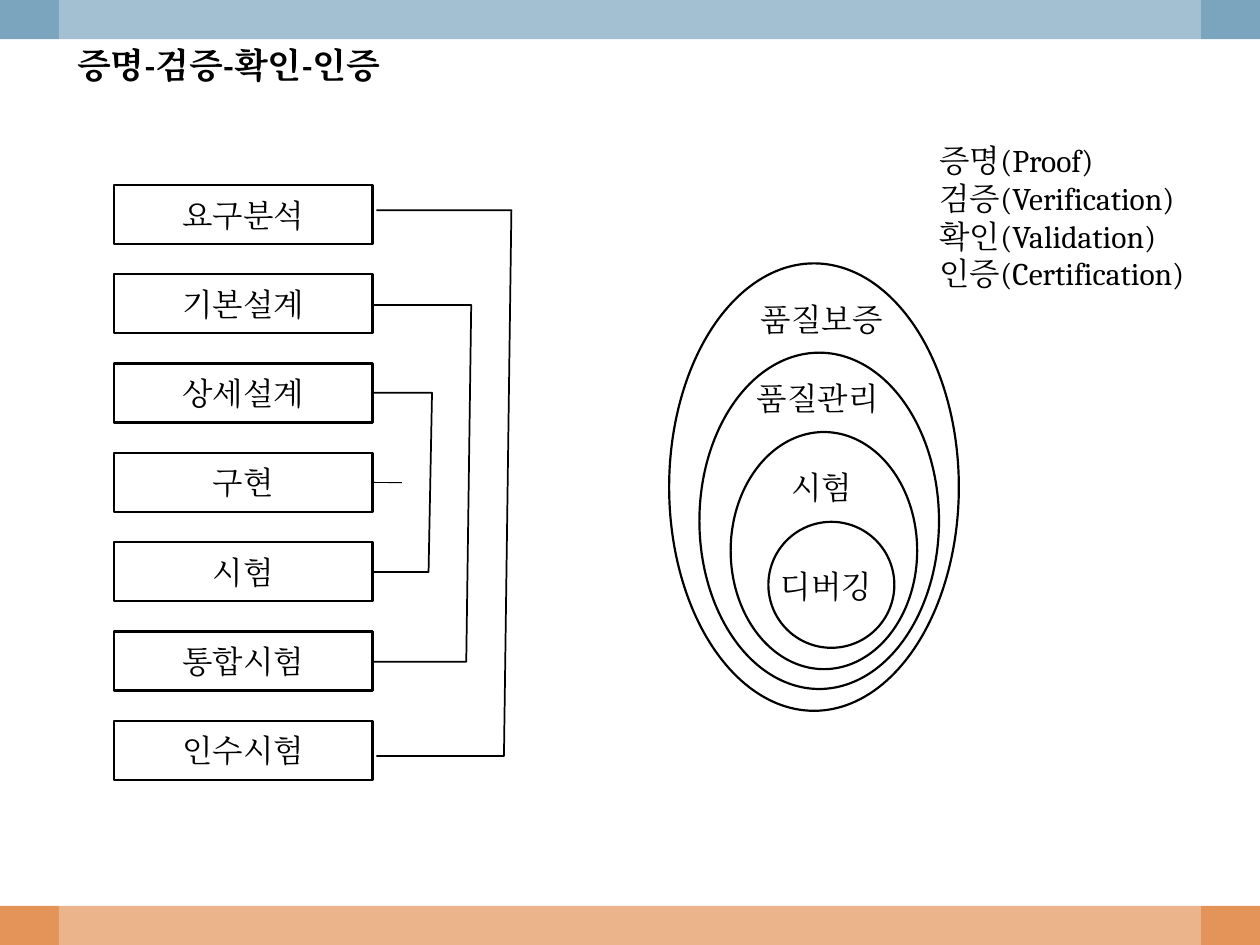
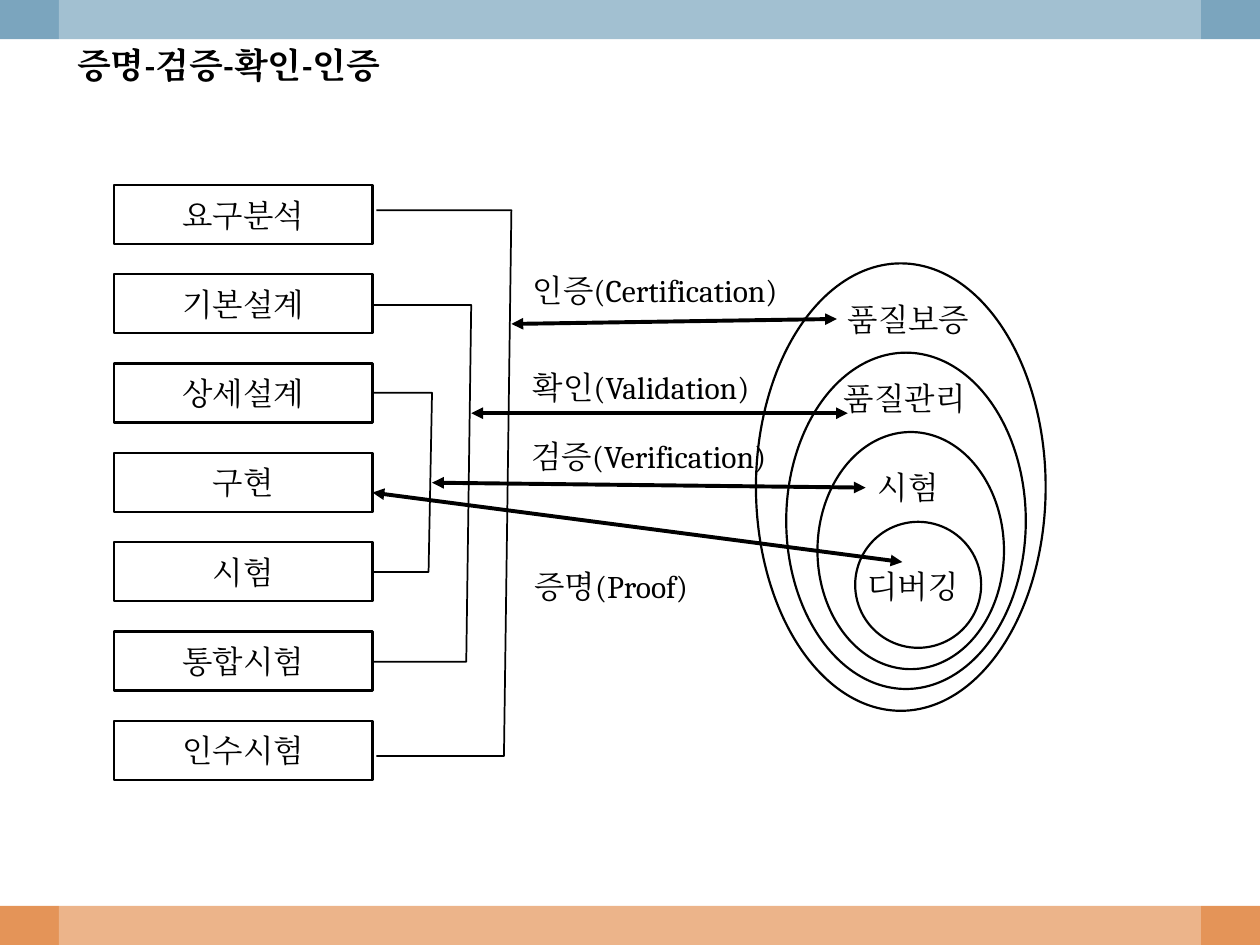
from pptx import Presentation
from pptx.dml.color import RGBColor
from pptx.enum.lang import MSO_LANGUAGE_ID
from pptx.enum.shapes import MSO_CONNECTOR, MSO_SHAPE
from pptx.enum.text import MSO_ANCHOR, MSO_AUTO_SIZE, PP_ALIGN
from pptx.oxml.ns import qn
from pptx.util import Cm, Pt
from lxml import etree

RECTANGLE, OVAL = MSO_SHAPE.RECTANGLE, MSO_SHAPE.OVAL
STRAIGHT = MSO_CONNECTOR.STRAIGHT
LEFT, CENTER = PP_ALIGN.LEFT, PP_ALIGN.CENTER
TOP, MIDDLE = MSO_ANCHOR.TOP, MSO_ANCHOR.MIDDLE
KOREAN = MSO_LANGUAGE_ID.KOREAN
FONT = "Cambria"
BLACK, WHITE, BLUE, ORANGE = "000000", "FFFFFF", "7BA5BE", "E49458"


def paint(shape, fill=None, line=None, weight=1.25):
    """Give a shape its fill and outline; None leaves that part empty."""
    shape.shadow.inherit = False
    if fill:
        shape.fill.solid()
        shape.fill.fore_color.rgb = RGBColor.from_string(fill)
    else:
        shape.fill.background()
    if line:
        shape.line.color.rgb = RGBColor.from_string(line)
        shape.line.width = Pt(weight)
    else:
        shape.line.fill.background()


def write_text(box, text, size=18, bold=False, align=LEFT, anchor=TOP,
               wrap=False, grow=True):
    """Write one paragraph for each line of text."""
    frame = box.text_frame
    frame.word_wrap = wrap
    frame.vertical_anchor = anchor
    frame.auto_size = MSO_AUTO_SIZE.SHAPE_TO_FIT_TEXT if grow else MSO_AUTO_SIZE.NONE
    for index, line in enumerate(text.split("\n")):
        para = frame.paragraphs[0] if index == 0 else frame.add_paragraph()
        para.alignment = align
        span = para.add_run()
        span.text = line
        span.font.name = FONT
        span.font.size = Pt(size)
        span.font.bold = bold
        span.font.language_id = KOREAN
        span.font.color.rgb = RGBColor.from_string(BLACK)
        latin = span.font._element.find(qn("a:latin"))
        east_asian = etree.Element(qn("a:ea"), typeface=FONT)
        latin.addnext(east_asian)


deck = Presentation()
deck.slide_width, deck.slide_height = Cm(25.4), Cm(19.05)
title_only = deck.slide_layouts[5]
pages = [deck.slides.add_slide(title_only) for _ in range(2)]

# Bands, moved to the master so that every page shares them
bands = [
    (0, 18.26, 25.4, 0.79, ORANGE),
    (0, 0, 25.4, 0.79, BLUE),
    (1.19, 0, 23.02, 19.05, WHITE),
]
for index, (left, top, width, height, fill) in enumerate(bands):
    band = pages[0].shapes.add_shape(RECTANGLE, Cm(left), Cm(top), Cm(width), Cm(height))
    paint(band, fill)
    if fill == WHITE:
        tint = band.element.spPr.find(qn("a:solidFill"))[0]
        etree.SubElement(tint, qn("a:alpha"), val="30000")
    band.element.nvSpPr.cNvPr.set("id", str(100 + index))
    deck.slide_master.shapes.element.insert(2 + index, band.element)

# Content that both pages show
phases = ["요구분석", "기본설계", "상세설계", "구현", "시험", "통합시험", "인수시험"]
phase_pitch = 1.8
# start x, upper corner x, lower corner x, upper y, lower y
brackets = [
    (7.59, 10.31, 10.16, 4.24, 15.24),
    (7.51, 9.5, 9.4, 6.15, 13.34),
    (7.51, 8.71, 8.64, 7.92, 11.53),
]
# oval left, top, width, height, fill; then label, its left, top, width
ovals = [
    (15.49, 10.52, 2.54, 2.54, WHITE, "디버깅", 15.49, 11.3, 2.44),
    (14.73, 8.71, 3.76, 4.78, None, "시험", 15.7, 9.32, 1.8),
    (14.1, 7.11, 4.83, 6.78, None, "품질관리", 15.01, 7.52, 3.07),
    (13.49, 5.31, 5.84, 9.02, None, "품질보증", 15.09, 5.92, 3.07),
]

# Content of each page: shift of the ovals, links and captions
link_sets = [
    [(7.51, 9.73, 8.1, 9.73)],
    [
        (10.31, 6.53, 16.87, 6.43),
        (9.5, 8.33, 17.09, 8.33),
        (8.71, 9.73, 17.45, 9.83),
        (7.51, 9.93, 18.19, 11.33),
    ],
]
caption_sets = [
    [("증명(Proof)\n검증(Verification)\n확인(Validation)\n인증(Certification)",
      18.69, 2.72, 5.69, 3.33)],
    [
        ("인증(Certification)", 10.49, 5.33, 5.69, 1.02),
        ("확인(Validation)", 10.49, 7.29, 5.03, 1.02),
        ("검증(Verification)", 10.46, 8.69, 5.41, 1.02),
        ("증명(Proof)", 10.52, 11.3, 3.78, 1.02),
    ],
]

for page, shift, links, captions in zip(pages, (0, 1.75), link_sets, caption_sets):
    arrows = shift > 0

    # Title
    title = page.shapes.title
    title.left, title.top, title.width, title.height = Cm(1.3), Cm(0.74), Cm(7.09), Cm(1.12)
    write_text(title, "증명-검증-확인-인증", size=20, bold=True, wrap=True, grow=False)

    # Development phases
    phase_boxes = []
    for index, phase in enumerate(phases):
        box = page.shapes.add_shape(
            RECTANGLE, Cm(2.3), Cm(3.73 + index * phase_pitch), Cm(5.21), Cm(1.19))
        paint(box, WHITE, BLACK)
        write_text(box, phase, align=CENTER, anchor=MIDDLE, wrap=True, grow=False)
        phase_boxes.append(box)

    # Nested quality ovals
    for left, top, width, height, fill, label, label_left, label_top, label_width in ovals:
        oval = page.shapes.add_shape(OVAL, Cm(left + shift), Cm(top), Cm(width), Cm(height))
        paint(oval, fill, BLACK)
        box = page.shapes.add_textbox(
            Cm(label_left + shift), Cm(label_top), Cm(label_width), Cm(1.02))
        write_text(box, label)

    # Brackets that pair each phase with its test
    for start, upper_corner, lower_corner, upper, lower in brackets:
        builder = page.shapes.build_freeform(Cm(start), Cm(upper))
        builder.add_line_segments(
            [(Cm(upper_corner), Cm(upper)), (Cm(lower_corner), Cm(lower)),
             (Cm(start), Cm(lower))], close=False)
        paint(builder.convert_to_shape(), None, BLACK, 1)

    # Links
    for start_x, start_y, end_x, end_y in links:
        link = page.shapes.add_connector(
            STRAIGHT, Cm(start_x), Cm(start_y), Cm(end_x), Cm(end_y))
        link.line.color.rgb = RGBColor.from_string(BLACK)
        link.line.width = Pt(2.25 if arrows else 0.5)
        if arrows:
            outline = link.element.spPr.find(qn("a:ln"))
            for end in ("a:headEnd", "a:tailEnd"):
                etree.SubElement(outline, qn(end), type="triangle")
        else:
            link.begin_connect(phase_boxes[3], 3)
        etree.SubElement(link.element.spPr, qn("a:effectLst"))

    # Captions
    for text, left, top, width, height in captions:
        box = page.shapes.add_textbox(Cm(left), Cm(top), Cm(width), Cm(height))
        write_text(box, text)

deck.save("out.pptx")
